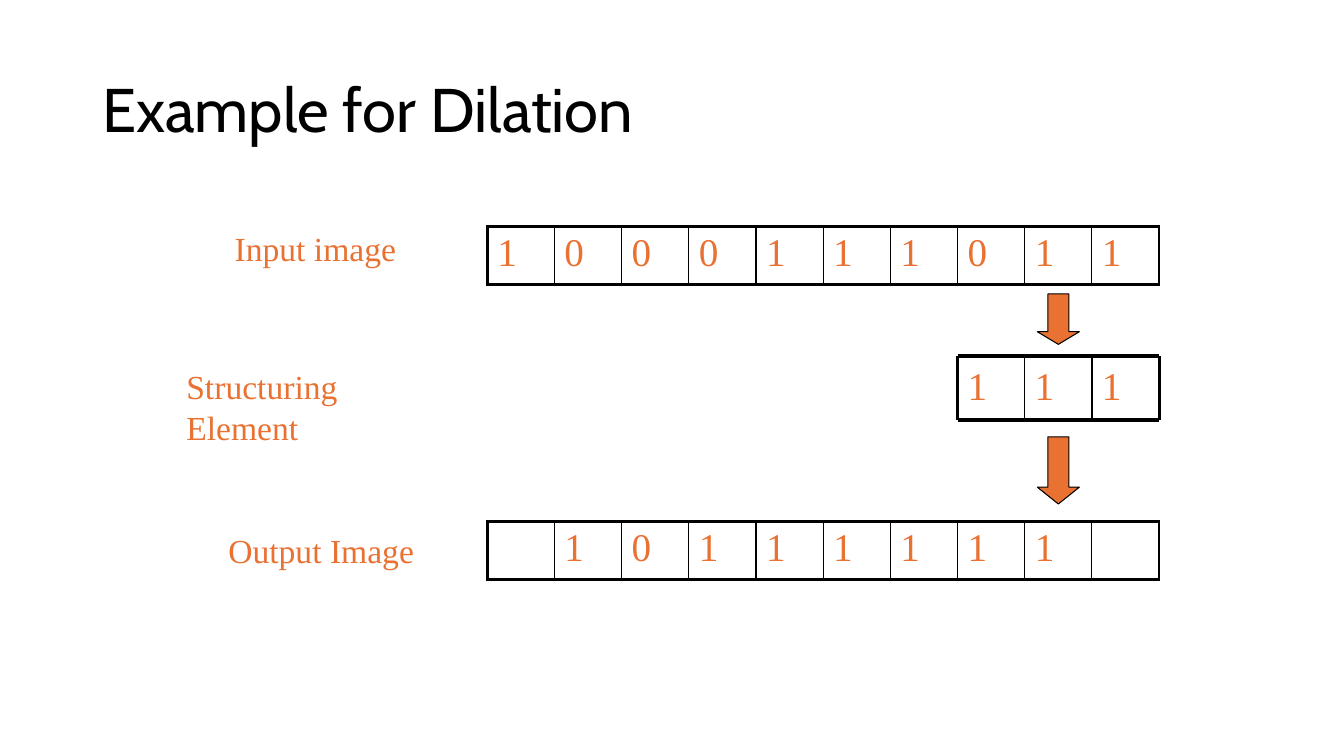
from lxml.etree import SubElement
from pptx import Presentation
from pptx.dml.color import RGBColor
from pptx.enum.shapes import MSO_CONNECTOR, MSO_SHAPE
from pptx.enum.text import MSO_ANCHOR
from pptx.oxml import parse_xml
from pptx.oxml.ns import nsdecls, qn
from pptx.util import Pt

PX = 9525
COLORS = {"ink": "000000", "accent": "E97132"}
SERIF = "Times New Roman"
THICK, THIN = 2.25, 1
CELL = 64


def emu(*sizes):
    """Turn px lengths into EMU."""
    return [size * PX for size in sizes]


def color(name):
    """Look up a colour by name."""
    return RGBColor.from_string(COLORS[name])


def write(frame, text, size, font=SERIF, tint="accent"):
    """Put one styled run in the first paragraph."""
    run = frame.paragraphs[0].add_run()
    run.text = text
    run.font.size = Pt(size)
    run.font.name = font
    run.font.color.rgb = color(tint)


def add_text(shapes, box, text, size, wrap=True, **style):
    """Place a text box and return its frame."""
    frame = shapes.add_textbox(*emu(*box)).text_frame
    frame.word_wrap = wrap
    write(frame, text, size, **style)
    return frame


def add_title(slide, box, text):
    """Place the slide title, centred vertically."""
    frame = add_text(slide.shapes, box, text, 44, font="Cabin", tint="ink")
    frame.vertical_anchor = MSO_ANCHOR.MIDDLE
    frame.paragraphs[0].line_spacing = 0.9


def add_border(cell, side, width):
    """Draw one side of a table cell."""
    cell._tc.get_or_add_tcPr().append(parse_xml(
        f'<a:ln{side} {nsdecls("a")} w="{Pt(width)}"><a:solidFill>'
        f'<a:srgbClr val="{COLORS["ink"]}"/></a:solidFill></a:ln{side}>'))


def add_row(slide, box, bits):
    """Place a one-row pixel table; a space leaves a cell empty."""
    count = len(bits)
    table = slide.shapes.add_table(1, count, *emu(*box)).table
    table.first_row = table.horz_banding = False
    for i, bit in enumerate(bits):
        cell = table.cell(0, i)
        add_border(cell, "L", THIN if i else THICK)
        add_border(cell, "R", THIN if i < count - 1 else THICK)
        add_border(cell, "T", THICK)
        add_border(cell, "B", THICK)
        cell.fill.background()
        if bit != " ":
            write(cell.text_frame, bit, 28)


def add_line(shapes, ends, width):
    """Draw a straight line without shadow."""
    line = shapes.add_connector(MSO_CONNECTOR.STRAIGHT, *emu(*ends))
    line.line.color.rgb = color("ink")
    line.line.width = Pt(width)
    SubElement(line._element.spPr, qn("a:effectLst"))


def add_kernel(slide, box, bits):
    """Place the structuring element as a group of digits and rules."""
    left, top, width, height = box
    right, bottom = left + width, top + height
    step = width // len(bits)
    shapes = slide.shapes.add_group_shape().shapes
    for i, bit in enumerate(bits):
        add_text(shapes, (left + i * step, top, step, height), bit, 28)
    for y in (top, bottom):
        add_line(shapes, (left, y, right, y), THICK)
    for x in range(left, right + 1, step):
        add_line(shapes, (x, top, x, bottom),
                 THICK if x in (left, right) else THIN)


def add_arrow(slide, box, head):
    """Place a block arrow pointing down."""
    arrow = slide.shapes.add_shape(MSO_SHAPE.DOWN_ARROW, *emu(*box))
    arrow.adjustments[0] = 0.5
    arrow.adjustments[1] = head
    arrow.shadow.inherit = False
    arrow.fill.solid()
    arrow.fill.fore_color.rgb = color("accent")
    arrow.line.color.rgb = color("ink")
    arrow.line.width = Pt(0.75)


def main():
    """Build and save the slide."""
    deck = Presentation()
    deck.slide_width, deck.slide_height = emu(1280, 720)
    slide = deck.slides.add_slide(deck.slide_layouts[6])
    add_title(slide, (88, 38, 1104, 139), "Example for Dilation")
    for box, text in (((214, 212, 173, 48), "Input image"),
                      ((168, 344, 277, 48), "Structuring Element"),
                      ((208, 500, 196, 48), "Output Image")):
        add_text(slide.shapes, box, text, 24, wrap=False)
    left = 464
    for top, bits in ((216, "1000111011"), (497, " 10111111 ")):
        add_row(slide, (left, top, CELL * len(bits), 55), bits)
    start = left + 7 * CELL
    add_kernel(slide, (start, 339, 3 * CELL, 61), "111")
    middle = start + 3 * CELL // 2
    for top, height, head in ((280, 48, 0.3), (416, 64, 0.4)):
        add_arrow(slide, (middle - 20, top, 40, height), head)
    deck.save("out.pptx")


if __name__ == "__main__":
    main()
